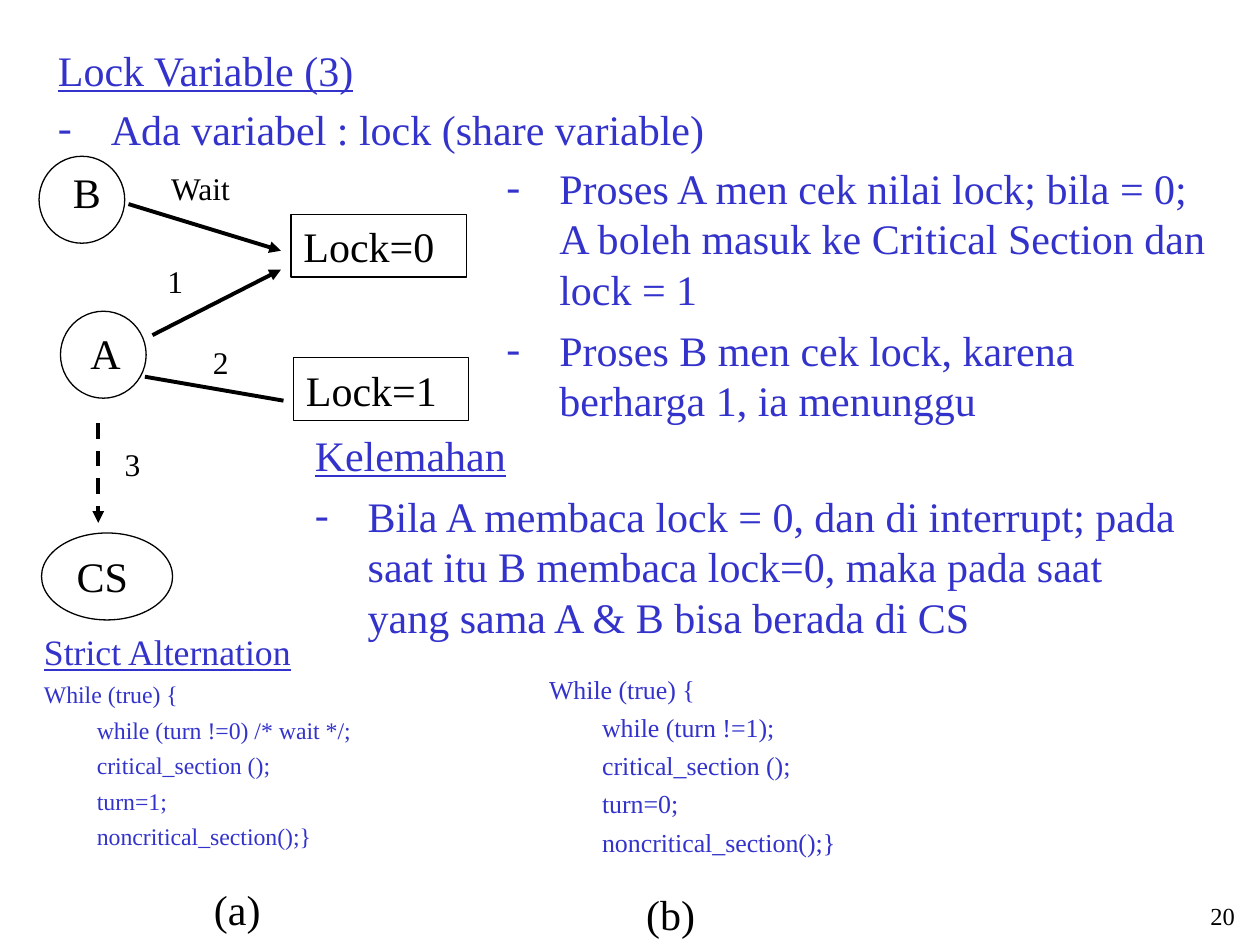
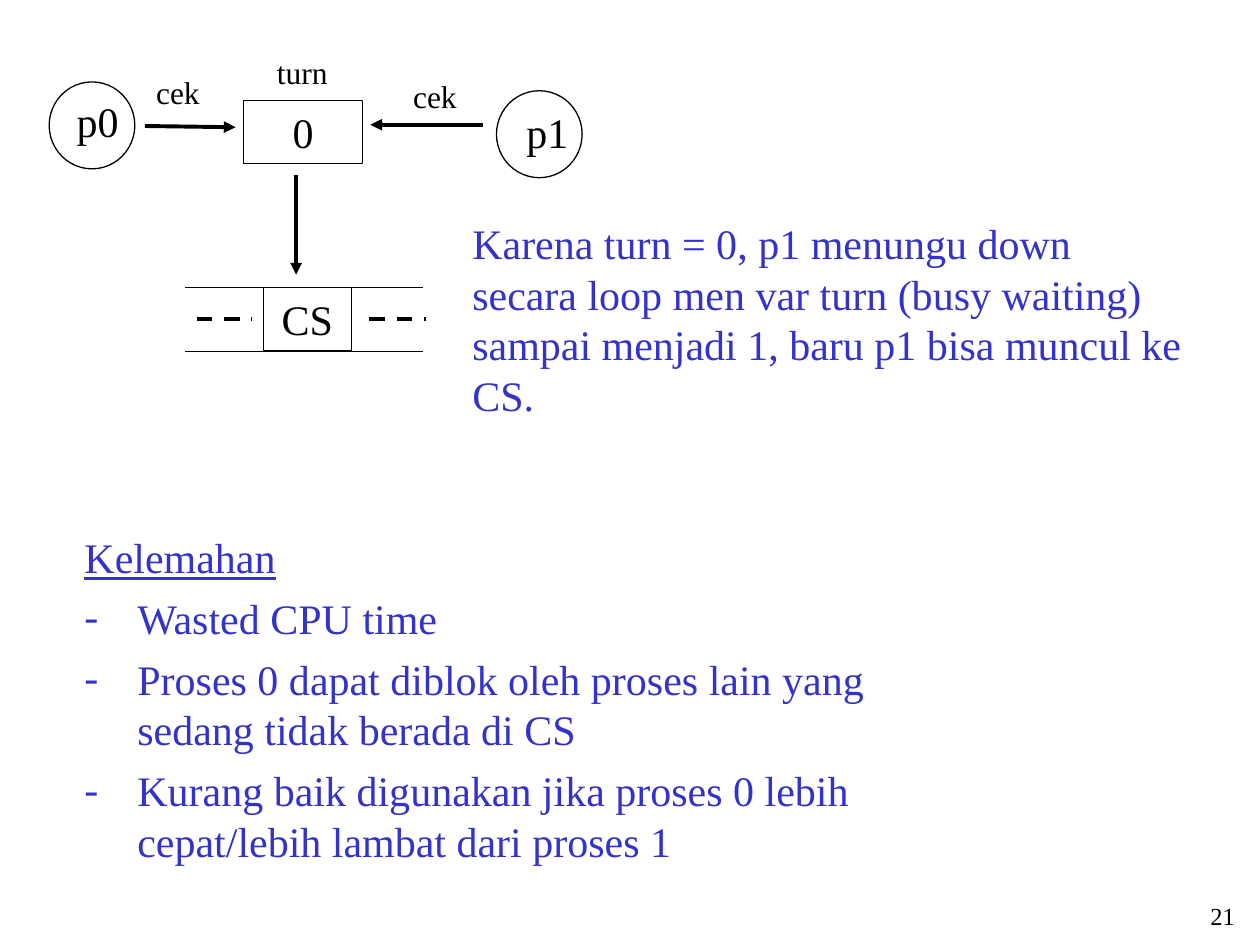
from dataclasses import dataclass

from lxml import etree
from pptx import Presentation
from pptx.dml.color import RGBColor
from pptx.enum.dml import MSO_LINE
from pptx.enum.shapes import MSO_CONNECTOR, MSO_SHAPE
from pptx.enum.text import MSO_ANCHOR, MSO_AUTO_SIZE, PP_ALIGN
from pptx.oxml.ns import qn
from pptx.util import Inches, Pt

LEFT, CENTER, RIGHT = PP_ALIGN.LEFT, PP_ALIGN.CENTER, PP_ALIGN.RIGHT
TOP = MSO_ANCHOR.TOP
NO_FIT, FIT_SHAPE = MSO_AUTO_SIZE.NONE, MSO_AUTO_SIZE.SHAPE_TO_FIT_TEXT
OVAL, RECTANGLE = MSO_SHAPE.OVAL, MSO_SHAPE.RECTANGLE
STRAIGHT, DASH = MSO_CONNECTOR.STRAIGHT, MSO_LINE.DASH


@dataclass(frozen=True)
class Theme:
    font: str = "Times New Roman"
    ink: RGBColor = RGBColor(0x00, 0x00, 0x00)
    blue: RGBColor = RGBColor(0x33, 0x33, 0xCC)
    text: float = 24
    subheading: float = 20.4
    label: float = 18
    number: float = 14
    code_a: float = 13.6
    code_b: float = 14.8
    thin: float = 0.75
    thick: float = 2.25
    indent: float = 0.42
    gap: float = 6
    code_gap: float = 4


THEME = Theme()


# Paragraph kinds: each returns the text with its format
def plain(text, **changes):
    return {"text": text, "size": THEME.text, "color": THEME.blue, "gap": THEME.gap,
            "align": LEFT, "underline": False, "margin": 0, "bullet": False, **changes}


def heading(text, size=THEME.text):
    return plain(text, underline=True, size=size)


def item(text):
    return plain(text, margin=THEME.indent, bullet=True)


def code(size, first, *nested):
    """A first line followed by lines indented one step."""
    return [plain(first, size=size, gap=THEME.code_gap)] + [
        plain(line, size=size, gap=THEME.code_gap, margin=THEME.indent) for line in nested]


def set_attributes(target, values):
    for name, value in values.items():
        setattr(target, name, value)


def write_paragraph(paragraph, style, is_first):
    set_attributes(paragraph, {
        "alignment": style["align"],
        "line_spacing": 1.0,
        "space_before": Pt(0 if is_first else style["gap"]),
        "space_after": Pt(0),
    })
    properties = paragraph._p.get_or_add_pPr()
    margin = Inches(style["margin"])
    properties.set("marL", str(margin))
    properties.set("indent", str(-margin if style["bullet"] else 0))
    if style["bullet"]:
        etree.SubElement(properties, qn("a:buFont")).set("typeface", THEME.font)
        etree.SubElement(properties, qn("a:buChar")).set("char", "-")
    else:
        etree.SubElement(properties, qn("a:buNone"))
    run = paragraph.add_run()
    run.text = style["text"]
    set_attributes(run.font, {"name": THEME.font, "size": Pt(style["size"]),
                              "underline": style["underline"], "bold": False})
    run.font.color.rgb = style["color"]


def write_text(shape, styles, wrap=True, fit=NO_FIT):
    frame = shape.text_frame
    set_attributes(frame, {
        "word_wrap": wrap, "auto_size": fit, "vertical_anchor": TOP,
        "margin_left": Inches(0.1), "margin_right": Inches(0.1),
        "margin_top": Inches(0.05), "margin_bottom": Inches(0.05),
    })
    for index, style in enumerate(styles):
        paragraph = frame.add_paragraph() if index else frame.paragraphs[0]
        write_paragraph(paragraph, style, index == 0)


def box(left, top, width, height):
    return [Inches(value) for value in (left, top, width, height)]


def fill_placeholder(placeholder, place, styles):
    names = ("left", "top", "width", "height")
    set_attributes(placeholder, dict(zip(names, box(*place))))
    write_text(placeholder, styles)


def add_text(slide, place, styles):
    write_text(slide.shapes.add_textbox(*box(*place)), styles)


def add_label(slide, place, text, size=THEME.label):
    shape = slide.shapes.add_textbox(*box(*place))
    write_text(shape, [plain(text, size=size, color=THEME.ink)], wrap=False, fit=FIT_SHAPE)


def add_outline(slide, kind, place, text="", align=LEFT):
    shape = slide.shapes.add_shape(kind, *box(*place))
    shape.shadow.inherit = False
    shape.fill.background()
    shape.line.color.rgb = THEME.ink
    shape.line.width = Pt(THEME.thin)
    if text:
        write_text(shape, [plain(text, color=THEME.ink, align=align)])


def add_line(slide, start, end, width=THEME.thick, arrow=False, dashed=False):
    connector = slide.shapes.add_connector(STRAIGHT, *[Inches(value) for value in start + end])
    line = connector.line
    line.color.rgb = THEME.ink
    line.width = Pt(width)
    if dashed:
        line.dash_style = DASH
    if arrow:
        etree.SubElement(line._get_or_add_ln(), qn("a:tailEnd")).set("type", "triangle")
    etree.SubElement(connector._element.spPr, qn("a:effectLst"))


def add_slide(presentation, number):
    slide = presentation.slides.add_slide(presentation.slide_layouts[1])
    add_text(slide, (9.36, 7.1, 0.54, 0.4),
             [plain(str(number), size=THEME.number, color=THEME.ink, align=RIGHT)])
    return slide


def build_lock_variable(presentation):
    slide = add_slide(presentation, 20)
    fill_placeholder(slide.shapes.title, (0.36, 0.3, 8.89, 0.47), [heading("Lock Variable (3)")])
    fill_placeholder(slide.placeholders[1], (0.36, 0.77, 8.89, 0.7),
                     [item("Ada variabel : lock (share variable)")])

    # Explanation and weakness
    add_text(slide, (3.92, 1.24, 5.81, 2.19), [
        item("Proses A men cek nilai lock; bila = 0; A boleh masuk ke Critical Section dan lock = 1"),
        item("Proses B men cek lock, karena berharga 1, ia menunggu"),
    ])
    add_text(slide, (2.4, 3.36, 7.07, 1.9), [
        heading("Kelemahan"),
        item("Bila A membaca lock = 0, dan di interrupt; pada saat itu B membaca lock=0, "
             "maka pada saat yang sama A & B bisa berada di CS"),
    ])

    # Processes, critical section and lock states
    for oval, name, label in [
        ((0.31, 1.24, 0.68, 0.69), "B", (0.48, 1.27, 0.42, 0.5)),
        ((0.48, 2.47, 0.68, 0.69), "A", (0.62, 2.55, 0.44, 0.5)),
        ((0.33, 4.23, 1.04, 0.69), "CS", (0.51, 4.32, 0.61, 0.5)),
    ]:
        add_outline(slide, OVAL, oval)
        add_label(slide, label, name, THEME.text)
    add_outline(slide, RECTANGLE, (2.31, 1.7, 1.39, 0.5), "Lock=0")
    add_outline(slide, RECTANGLE, (2.33, 2.84, 1.39, 0.5), "Lock=1")

    # Steps
    add_line(slide, (1.02, 1.62), (2.23, 1.99), arrow=True)
    add_line(slide, (1.21, 2.66), (2.23, 2.14), arrow=True)
    add_line(slide, (1.15, 2.99), (2.25, 3.18))
    add_line(slide, (0.78, 3.36), (0.78, 4.15), arrow=True, dashed=True)
    add_label(slide, (1.26, 1.29, 0.68, 0.4), "Wait")
    for step, (left, top) in enumerate([(1.23, 2.03), (1.59, 2.67), (0.89, 3.48)], start=1):
        add_label(slide, (left, top, 0.32, 0.4), str(step))

    # Strict alternation code
    add_text(slide, (0.25, 4.95, 3.71, 1.9), [
        heading("Strict Alternation", THEME.subheading),
        *code(THEME.code_a, "While (true) {", "while (turn !=0) /* wait */;",
              "critical_section ();", "turn=1;", "noncritical_section();}"),
    ])
    add_text(slide, (4.26, 5.3, 3.71, 1.6),
             code(THEME.code_b, "While (true) {", "while (turn !=1);",
                  "critical_section ();", "turn=0;", "noncritical_section();}"))
    add_label(slide, (1.6, 6.96, 0.57, 0.5), "(a)", THEME.text)
    add_label(slide, (5.03, 7, 0.59, 0.5), "(b)", THEME.text)


def build_busy_waiting(presentation):
    slide = add_slide(presentation, 21)
    title = slide.shapes.title._element
    title.getparent().remove(title)

    # Explanation and weaknesses
    add_text(slide, (3.65, 1.68, 5.85, 2.19), [
        plain("Karena turn = 0, p1 menungu down secara loop men var turn (busy waiting) "
              "sampai menjadi 1, baru p1 bisa muncul ke CS."),
    ])
    fill_placeholder(slide.placeholders[1], (0.57, 4.17, 7.07, 2.75), [
        heading("Kelemahan"),
        item("Wasted CPU time"),
        item("Proses 0 dapat diblok oleh proses lain yang sedang tidak berada di CS"),
        item("Kurang baik digunakan jika proses 0 lebih cepat/lebih lambat dari proses 1"),
    ])

    # Processes checking the turn variable
    for name, oval, label, check in [
        ("p0", (0.39, 0.65), (0.51, 0.71), (1.14, 0.53)),
        ("p1", (3.94, 0.72), (4.08, 0.8), (3.18, 0.56)),
    ]:
        add_outline(slide, OVAL, (*oval, 0.68, 0.69))
        add_label(slide, (*label, 0.53, 0.5), name, THEME.text)
        add_label(slide, (*check, 0.58, 0.4), "cek")
    add_label(slide, (2.1, 0.37, 0.6, 0.4), "turn")
    add_outline(slide, RECTANGLE, (1.93, 0.8, 0.95, 0.5), "0", CENTER)
    for start, end in [((1.15, 1), (1.87, 1.01)), ((3.83, 0.99), (2.94, 0.99)),
                       ((2.35, 1.39), (2.35, 2.18))]:
        add_line(slide, start, end, arrow=True)

    # Critical section on its track
    add_outline(slide, RECTANGLE, (2.09, 2.28, 0.7, 0.5), "CS", CENTER)
    for top in (2.28, 2.79):
        add_line(slide, (1.47, top), (3.36, top), THEME.thin)
    for left, right in ((1.56, 2), (2.93, 3.38)):
        add_line(slide, (left, 2.53), (right, 2.53), dashed=True)


def main():
    presentation = Presentation()
    presentation.slide_width = Inches(10)
    presentation.slide_height = Inches(7.5)
    build_lock_variable(presentation)
    build_busy_waiting(presentation)
    presentation.save("out.pptx")


if __name__ == "__main__":
    main()
